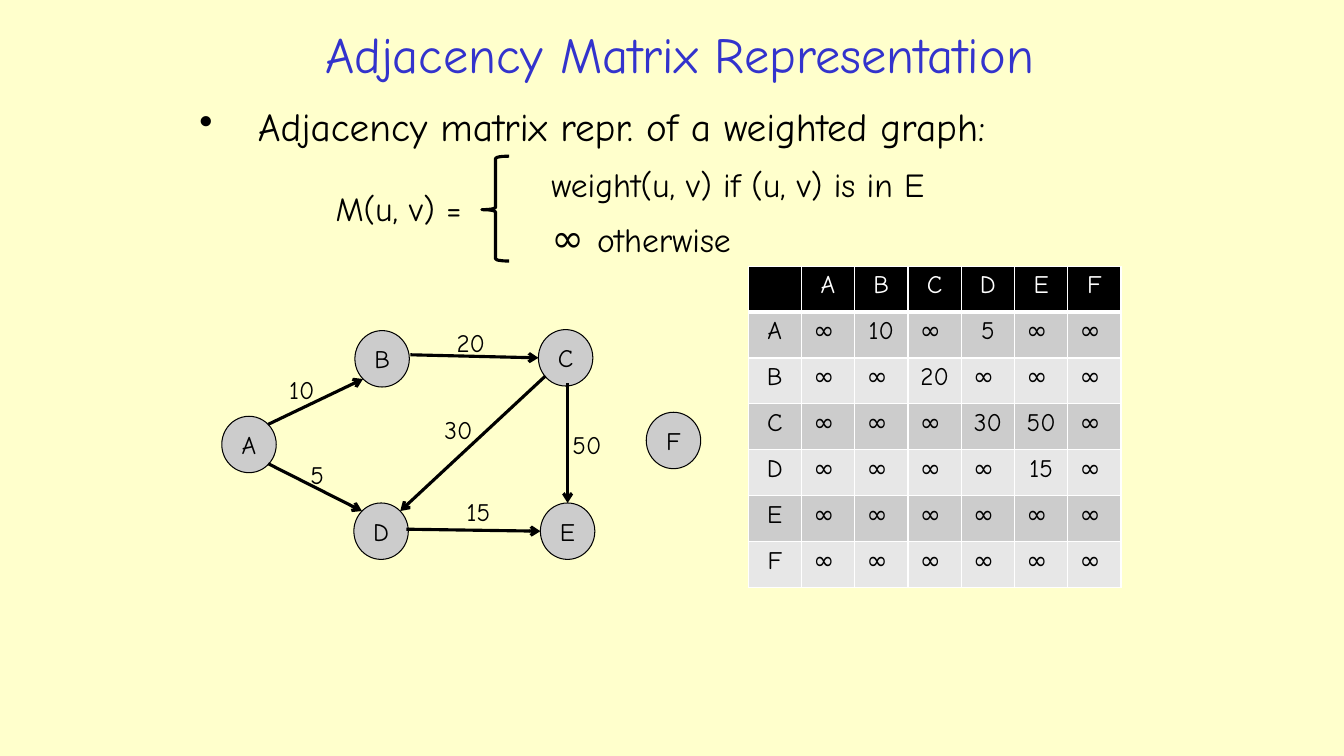
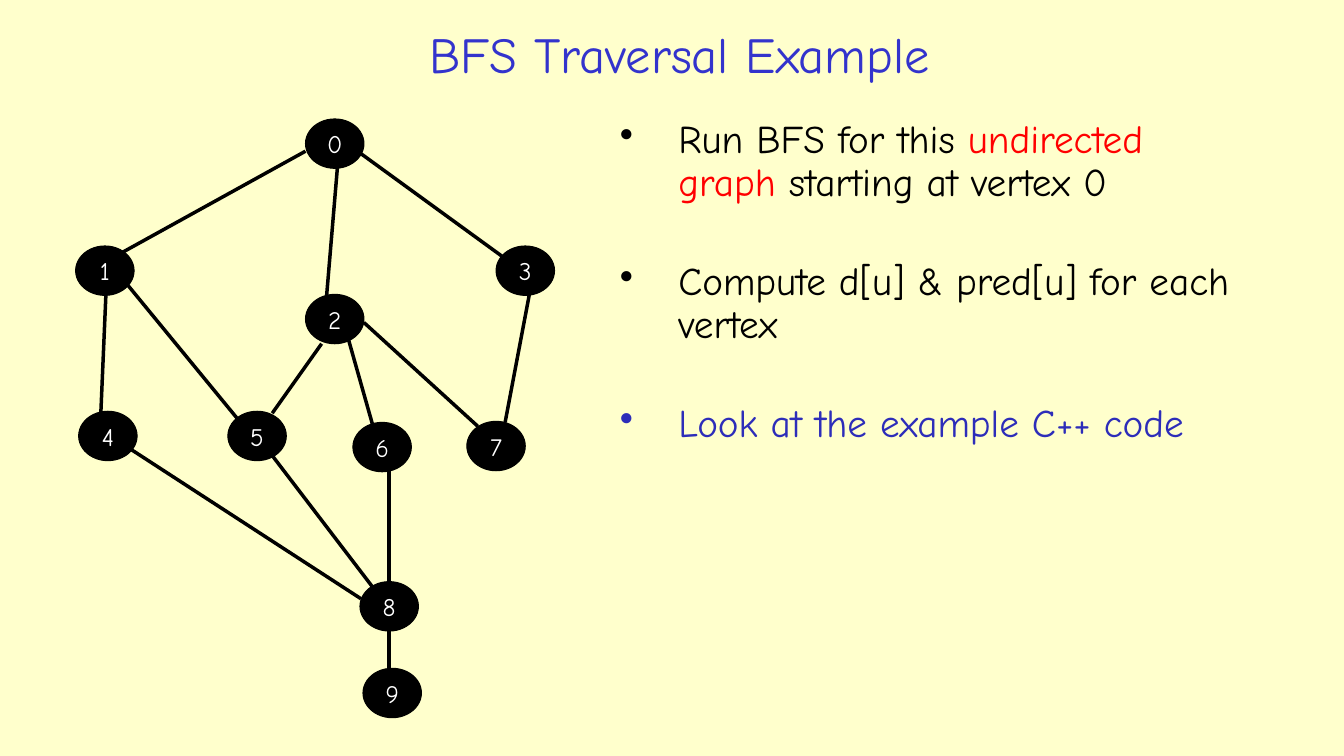
import pptx
import pptx.dml.color
import pptx.enum.shapes
import pptx.enum.text
import pptx.oxml.ns
import pptx.util
from lxml import etree

Inches = pptx.util.Inches
Pt = pptx.util.Pt
SHAPES = pptx.enum.shapes.MSO_SHAPE
CENTER = pptx.enum.text.PP_ALIGN.CENTER
LEFT = pptx.enum.text.PP_ALIGN.LEFT
TOP = pptx.enum.text.MSO_ANCHOR.TOP
MIDDLE = pptx.enum.text.MSO_ANCHOR.MIDDLE

FONT = "Comic Neue"
BLACK, WHITE, RED = "000000", "FFFFFF", "FF0000"
CREAM, TITLE_BLUE, LINK_BLUE = "FFFFCC", "3333CC", "2D2DB9"
GRAY, LIGHT_GRAY = "CCCCCC", "E7E7E7"

MATRIX_TITLE = "Adjacency Matrix Representation"
MATRIX_BULLETS = [[("Adjacency matrix repr. of a weighted graph:", 28, BLACK)]]
FORMULA = [[("M(u, v) =", 24, BLACK)]]
FORMULA_CASES = [
    [("weight(u, v) if (u, v) is in E", 24, BLACK)],
    [("∞ ", 28, BLACK), ("otherwise", 24, BLACK)],
]
INFINITE = "∞ "
# name: left, top
WEIGHTED_NODES = {
    "A": (2.2, 4.13), "B": (3.52, 3.28), "C": (5.34, 3.27),
    "D": (3.51, 4.99), "E": (5.36, 4.99), "F": (6.41, 4.09),
}
# (from node, to node): weight, line start, line end, label left and top
WEIGHTED_EDGES = {
    ("A", "B"): ("10", (2.66, 4.21), (3.6, 3.76), (2.77, 3.66)),
    ("B", "C"): ("20", (4.07, 3.52), (5.34, 3.55), (4.43, 3.2)),
    ("C", "E"): ("50", (5.63, 3.8), (5.63, 4.99), (5.58, 4.21)),
    ("A", "D"): ("5", (2.66, 4.6), (3.59, 5.07), (2.98, 4.51)),
    ("D", "E"): ("15", (4.03, 5.25), (5.36, 5.27), (4.53, 4.87)),
    ("C", "D"): ("30", (5.41, 3.73), (3.97, 5.07), (4.31, 4.06)),
}

BFS_TITLE = "BFS Traversal Example"
BFS_BULLETS = [
    [("Run BFS for this ", 28, BLACK), ("undirected graph", 28, RED),
     (" starting at vertex 0", 28, BLACK)],
    [("Compute d[u] & pred[u] for each vertex", 28, BLACK)],
    [("Look at the example C++ code", 28, LINK_BLUE)],
]
BFS_NODES = {
    "0": (3.03, 1.18), "1": (0.75, 2.44), "2": (3.03, 2.92), "3": (4.92, 2.44),
    "4": (0.78, 4.08), "5": (2.26, 4.08), "6": (3.5, 4.19), "7": (4.63, 4.18),
    "8": (3.57, 5.77), "9": (3.6, 6.63),
}
BFS_EDGES = [
    ((1.13, 2.55), (3.03, 1.5)), ((1, 4.1), (1.05, 2.93)),
    ((2.36, 4.16), (1.26, 2.82)), ((3.24, 2.93), (3.35, 1.62)),
    ((4.99, 2.55), (3.56, 1.51)), ((3.7, 4.23), (3.44, 3.31)),
    ((4.74, 4.23), (3.61, 3.2)), ((5.01, 4.19), (5.26, 2.87)),
    ((3.86, 5.83), (3.86, 4.63)), ((2.7, 4.1), (3.19, 3.41)),
    ((3.7, 5.83), (2.67, 4.48)), ((3.58, 5.94), (1.24, 4.42)),
    ((3.86, 6.63), (3.86, 6.26)),
]


def color(hex_string):
    return pptx.dml.color.RGBColor.from_string(hex_string)


def add_element(parent, tag, **attributes):
    name = pptx.oxml.ns.qn("a:" + tag)
    return etree.SubElement(parent, name, attributes)


def add_span(para, text, size, hex_string):
    span = para.add_run()
    span.text = text
    span.font.name = FONT
    span.font.size = Pt(size)
    span.font.color.rgb = color(hex_string)


def add_bullet(para):
    properties = para._p.get_or_add_pPr()
    properties.set("marL", str(Inches(0.58)))
    properties.set("indent", str(Inches(-0.58)))
    add_element(properties, "buChar", char="•")


def add_text(page, place, paragraphs, align=LEFT, anchor=TOP, wrap=True,
             bullets=False, gap=0, line_spacing=None):
    """Each paragraph is a list of (text, size, colour); gap is in points."""
    box = page.shapes.add_textbox(*map(Inches, place))
    frame = box.text_frame
    frame.word_wrap = wrap
    frame.vertical_anchor = anchor
    for index, spans in enumerate(paragraphs):
        para = frame.add_paragraph() if index else frame.paragraphs[0]
        if bullets:
            add_bullet(para)
        para.alignment = align
        if index and gap:
            para.space_before = Pt(gap)
        if line_spacing:
            para.line_spacing = line_spacing
        for span in spans:
            add_span(para, *span)


def add_page(deck, title):
    page = deck.slides.add_slide(deck.slide_layouts[6])
    add_text(page, (1.97, 0.15, 9.54, 0.76), [[(title, 36, TITLE_BLUE)]],
             align=CENTER, anchor=MIDDLE)
    return page


def add_nodes(page, nodes, size, fill, text_color):
    for name, corner in nodes.items():
        node = page.shapes.add_shape(SHAPES.OVAL, *map(Inches, corner + size))
        node.shadow.inherit = False
        node.fill.solid()
        node.fill.fore_color.rgb = color(fill)
        node.line.color.rgb = color(BLACK)
        node.line.width = Pt(0.75)
        frame = node.text_frame
        frame.word_wrap = False
        frame.vertical_anchor = MIDDLE
        para = frame.paragraphs[0]
        para.alignment = CENTER
        add_span(para, name, 18, text_color)


def add_edge(page, start, end, width, arrow=False):
    edge = page.shapes.add_connector(
        pptx.enum.shapes.MSO_CONNECTOR.STRAIGHT, *map(Inches, start + end))
    edge.line.color.rgb = color(BLACK)
    edge.line.width = Pt(width)
    properties = edge._element.spPr
    if arrow:
        line = properties.find(pptx.oxml.ns.qn("a:ln"))
        add_element(line, "tailEnd", type="arrow")
    add_element(properties, "effectLst")


def add_brace(page):
    brace = page.shapes.add_shape(
        SHAPES.LEFT_BRACE, *map(Inches, (4.78, 1.55, 0.27, 1.04)))
    brace.shadow.inherit = False
    brace.fill.background()
    brace.line.color.rgb = color(BLACK)
    brace.line.width = Pt(2.25)
    brace.adjustments[0] = 0.08
    brace.adjustments[1] = 0.51


def set_borders(cell, bottom_width):
    """White cell borders; the elements must come before the cell fill."""
    properties = cell._tc.get_or_add_tcPr()
    for tag, width in (("lnL", 1), ("lnR", 1), ("lnT", 1), ("lnB", bottom_width)):
        border = add_element(properties, tag, w=str(Pt(width)))
        add_element(add_element(border, "solidFill"), "srgbClr", val=WHITE)


def add_matrix(page):
    names = list(WEIGHTED_NODES)
    rows = [[""] + names]
    for source in names:
        weights = [WEIGHTED_EDGES.get((source, target), (INFINITE,))[0]
                   for target in names]
        rows.append([source] + weights)
    count = len(rows)
    table = page.shapes.add_table(
        count, count, *map(Inches, (7.42, 2.64, 3.7, 3.19))).table
    for row_index, row in enumerate(rows):
        header = row_index == 0
        fill = BLACK if header else (GRAY if row_index % 2 else LIGHT_GRAY)
        for column_index, text in enumerate(row):
            cell = table.cell(row_index, column_index)
            set_borders(cell, 3 if header else 1)
            cell.fill.solid()
            cell.fill.fore_color.rgb = color(fill)
            para = cell.text_frame.paragraphs[0]
            para.alignment = CENTER
            if text:
                add_span(para, text, 18, WHITE if header else BLACK)


def build_matrix_page(deck):
    page = add_page(deck, MATRIX_TITLE)
    add_text(page, (1.88, 0.97, 9.55, 0.6), MATRIX_BULLETS, bullets=True)
    add_text(page, (3.23, 1.82, 1.68, 0.5), FORMULA)
    add_text(page, (5.37, 1.58, 6, 1.05), FORMULA_CASES, gap=6)
    add_brace(page)
    add_nodes(page, WEIGHTED_NODES, (0.54, 0.56), GRAY, BLACK)
    for weight, start, end, corner in WEIGHTED_EDGES.values():
        add_edge(page, start, end, 2.25, arrow=True)
        label_width = 0.36 if len(weight) == 1 else 0.5
        add_text(page, corner + (label_width, 0.4), [[(weight, 18, BLACK)]],
                 wrap=False)
    add_matrix(page)


def build_bfs_page(deck):
    page = add_page(deck, BFS_TITLE)
    add_nodes(page, BFS_NODES, (0.58, 0.49), BLACK, WHITE)
    for start, end in BFS_EDGES:
        add_edge(page, start, end, 2.5)
    add_text(page, (6.05, 1.14, 6.43, 5.75), BFS_BULLETS, bullets=True,
             gap=41, line_spacing=0.9)


def main():
    deck = pptx.Presentation()
    deck.slide_width = Inches(13.33)
    deck.slide_height = Inches(7.5)
    background = deck.slide_master.background.fill
    background.solid()
    background.fore_color.rgb = color(CREAM)
    build_matrix_page(deck)
    build_bfs_page(deck)
    deck.save("out.pptx")


if __name__ == "__main__":
    main()
